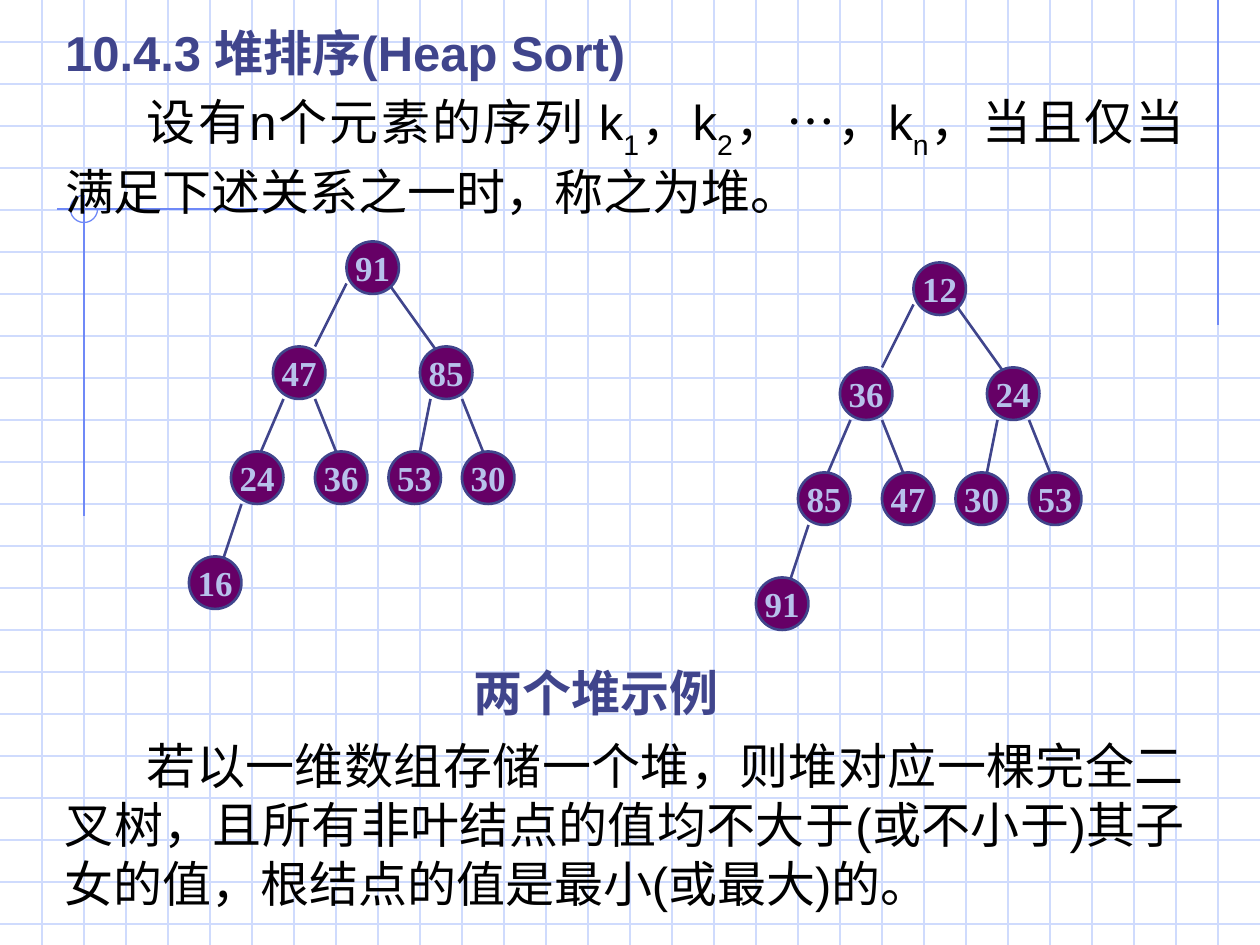
import lxml.etree
import pptx
import pptx.dml.color
import pptx.enum.shapes
import pptx.enum.text
import pptx.oxml.ns
import pptx.util

INDIGO = pptx.dml.color.RGBColor(0x40, 0x45, 0x8C)
PURPLE = pptx.dml.color.RGBColor(0x66, 0x00, 0x66)
LAVENDER = pptx.dml.color.RGBColor(0xB7, 0xC1, 0xEB)
BLACK = pptx.dml.color.RGBColor(0x00, 0x00, 0x00)
PALE_BLUE = pptx.dml.color.RGBColor(0xCF, 0xDB, 0xFD)
BLUE = pptx.dml.color.RGBColor(0x6F, 0x89, 0xF7)

CHINESE_FONT = "Noto Sans CJK SC"
COLUMNS, ROWS = 120, 90
NODE_SIZE = 5
NODE_PLACES = [(33, 23), (26, 33), (40, 33), (22, 43), (30, 43), (37, 43), (44, 43), (18, 53)]
EDGES = [
    (33, 27, 30, 33), (37, 27, 42, 34), (27, 38, 24, 45), (30, 38, 32, 43),
    (41, 38, 40, 43), (44, 38, 46, 43), (23, 48, 21, 54),
]
HEAPS = [
    (0, 0, ["91", "47", "85", "24", "36", "53", "30", "16"]),
    (54, 2, ["12", "36", "24", "85", "47", "30", "53", "91"]),
]
DEFINITION = [
    ("设有n个元素的序列 k", False), ("1", True), ("，k", False), ("2", True),
    ("，…，k", False), ("n", True),
    ("，当且仅当满足下述关系之一时，称之为堆。", False),
]
STORAGE = (
    "若以一维数组存储一个堆，则堆对应一棵完全二叉树，且所有非叶结点的值均不大于"
    "(或不小于)其子女的值，根结点的值是最小(或最大)的。"
)


class SlideBuilder:
    """Draws styled elements on one slide, measured in grid columns and rows."""

    def __init__(self):
        self.presentation = pptx.Presentation()
        self.presentation.slide_width = pptx.util.Inches(10)
        self.presentation.slide_height = pptx.util.Inches(7.5)
        self.unit = self.presentation.slide_width / COLUMNS
        self.slide = self.presentation.slides.add_slide(self.presentation.slide_layouts[1])
        self.shapes = self.slide.shapes
        self.heading_font = {
            "name": "Arial", "size": pptx.util.Pt(28), "bold": True, "color": INDIGO,
        }
        self.body_font = {**self.heading_font, "bold": False, "color": BLACK}
        self.caption_font = {**self.heading_font, "name": CHINESE_FONT}
        self.node_font = {
            "name": "Times New Roman", "size": pptx.util.Pt(20), "bold": True, "color": LAVENDER,
        }

    def lengths(self, *values):
        return [round(value * self.unit) for value in values]

    def apply(self, target, values):
        for name, value in values.items():
            if name == "color":
                target.color.rgb = value
            else:
                setattr(target, name, value)

    def line(self, start_x, start_y, end_x, end_y, color, width=0.75):
        connector = self.shapes.add_connector(
            pptx.enum.shapes.MSO_CONNECTOR.STRAIGHT,
            *self.lengths(start_x, start_y, end_x, end_y),
        )
        self.apply(connector.line, {"color": color, "width": pptx.util.Pt(width)})
        properties = connector.element.spPr
        lxml.etree.SubElement(properties, pptx.oxml.ns.qn("a:effectLst"))

    def arc(self, left, top, size, color):
        shape = self.shapes.add_shape(
            pptx.enum.shapes.MSO_SHAPE.ARC, *self.lengths(left, top, size, size)
        )
        shape.shadow.inherit = False
        shape.fill.background()
        self.apply(shape.line, {"color": color, "width": pptx.util.Pt(0.75)})
        shape.adjustments[0] = 0
        shape.adjustments[1] = 270 * 0.6

    def run(self, paragraph, text, font, subscript=False):
        run = paragraph.add_run()
        run.text = text
        self.apply(run.font, font)
        properties = run._r.get_or_add_rPr()
        if subscript:
            properties.set("baseline", "-30000")
        east_asian = lxml.etree.SubElement(properties, pptx.oxml.ns.qn("a:ea"))
        east_asian.set("typeface", CHINESE_FONT)

    def text(self, shape, place, runs, font, alignment="JUSTIFY", indent=0, right=0):
        left, top, width, height = self.lengths(*place)
        self.apply(shape, {"left": left, "top": top, "width": width, "height": height})
        self.shapes.element.append(shape.element)
        frame = shape.text_frame
        self.apply(frame, {
            "word_wrap": True,
            "auto_size": pptx.enum.text.MSO_AUTO_SIZE.NONE,
            "vertical_anchor": pptx.enum.text.MSO_ANCHOR.TOP,
            "margin_right": pptx.util.Inches(0.1 + right),
        })
        paragraph = frame.paragraphs[0]
        self.apply(paragraph, {
            "alignment": getattr(pptx.enum.text.PP_ALIGN, alignment),
            "space_before": pptx.util.Pt(0),
            "line_spacing": pptx.util.Pt(33.6),
        })
        properties = paragraph._p.get_or_add_pPr()
        properties.set("marL", "0")
        properties.set("indent", str(pptx.util.Inches(indent)))
        lxml.etree.SubElement(properties, pptx.oxml.ns.qn("a:buNone"))
        for text, subscript in runs:
            self.run(paragraph, text, font, subscript)

    def text_box(self, place, runs, font, **options):
        shape = self.shapes.add_textbox(*self.lengths(*place))
        self.text(shape, place, runs, font, **options)

    def node(self, left, top, value):
        shape = self.shapes.add_shape(
            pptx.enum.shapes.MSO_SHAPE.OVAL, *self.lengths(left, top, NODE_SIZE, NODE_SIZE)
        )
        shape.shadow.inherit = False
        shape.fill.solid()
        shape.fill.fore_color.rgb = PURPLE
        self.apply(shape.line, {"color": INDIGO, "width": pptx.util.Pt(1.5)})
        frame = shape.text_frame
        self.apply(frame, {
            "word_wrap": False, "vertical_anchor": pptx.enum.text.MSO_ANCHOR.MIDDLE,
        })
        paragraph = frame.paragraphs[0]
        paragraph.alignment = pptx.enum.text.PP_ALIGN.CENTER
        self.run(paragraph, value, self.node_font)

    def heap(self, across, down, values):
        for start_x, start_y, end_x, end_y in EDGES:
            self.line(start_x + across, start_y + down, end_x + across, end_y + down, INDIGO, 1.5)
        for (left, top), value in zip(NODE_PLACES, values):
            self.node(left + across, top + down, value)

    def background(self):
        for row in range(4, ROWS, 4):
            self.line(0, row, COLUMNS, row, PALE_BLUE)
        for column in range(4, COLUMNS, 4):
            self.line(column, 0, column, ROWS, PALE_BLUE)
        self.line(116, 0, 116, 31, BLUE)
        self.line(28.8, 19.9, 5.4, 19.9, BLUE)
        self.line(8, 18.6, 8, 49.1, BLUE)
        self.arc(6.7, 18.6, 2.6, BLUE)


def main():
    builder = SlideBuilder()
    builder.background()
    title, body = builder.slide.placeholders
    builder.text(title, (5, 1.5, 109, 7), [("10.4.3 堆排序(Heap Sort)", False)], builder.heading_font)
    builder.text(body, (5, 9.15, 109, 12), DEFINITION, builder.body_font, indent=0.65)
    for across, down, values in HEAPS:
        builder.heap(across, down, values)
    builder.text_box(
        (6, 62.5, 109, 7), [("两个堆示例", False)], builder.caption_font,
        alignment="CENTER", right=0.62,
    )
    builder.text_box((5, 69.5, 109, 18), [(STORAGE, False)], builder.body_font, indent=0.65)
    builder.presentation.save("out.pptx")


if __name__ == "__main__":
    main()
